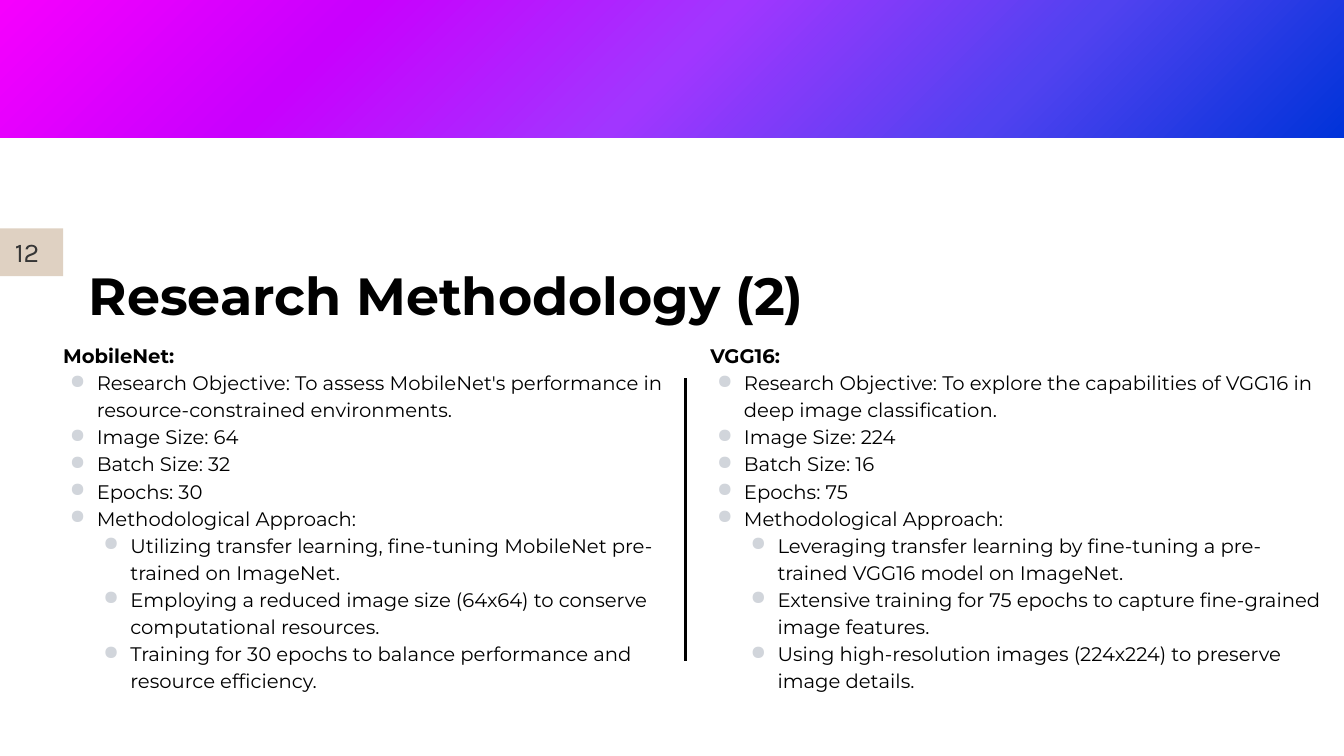
"""Build the research methodology slide comparing MobileNet and VGG16."""
from lxml import etree
from pptx import Presentation
from pptx.dml.color import RGBColor
from pptx.enum import shapes, text
from pptx.oxml import parse_xml
from pptx.oxml.ns import nsdecls, qn
from pptx.util import Pt

HUES = {"ink": "000000", "dot": "D1D5DB", "tag": "DFD1C2", "num": "363636"}
FADE = {0: "F600FE", 25: "C900FE", 50: "A136FF", 75: "5142F0", 100: "0033D9"}
COLS = 20
UNIT = 914400

deck = Presentation()
deck.slide_width, deck.slide_height = COLS * UNIT, int(11.25 * UNIT)
slide = deck.slides.add_slide(deck.slide_layouts[5])


def grid(*cells):
    """Turn grid columns and rows into lengths."""
    return [round(cell * UNIT) for cell in cells]


def style(para, size, hue, face="Montserrat", bold=False, gap=None):
    """Set the font and line spacing of a paragraph."""
    font = para.font
    font.size, font.name, font.bold = Pt(size), face, bold
    font.color.rgb = RGBColor.from_string(HUES[hue])
    para.alignment = text.PP_ALIGN.LEFT
    if gap:
        para.line_spacing = gap


title = slide.shapes.title
title.left, title.top, title.width, title.height = grid(1.32, 3.55, 10.8, 0.94)
frame = title.text_frame
frame.text = "Research Methodology (2)"
frame.word_wrap = True
frame.auto_size = text.MSO_AUTO_SIZE.NONE
frame.vertical_anchor = text.MSO_ANCHOR.TOP
frame.margin_left = frame.margin_right = frame.margin_top = frame.margin_bottom = 0
style(frame.paragraphs[0], 56, "ink", bold=True, gap=1.4)

lists = [
    (0.94, 9.27, 6.06, "MobileNet:", [
        (0, "Research Objective: To assess MobileNet's performance in "
            "resource-constrained environments."),
        (0, "Image Size: 64"),
        (0, "Batch Size: 32"),
        (0, "Epochs: 30"),
        (0, "Methodological Approach:"),
        (1, "Utilizing transfer learning, fine-tuning MobileNet pre-trained on ImageNet."),
        (1, "Employing a reduced image size (64x64) to conserve computational resources."),
        (1, "Training for 30 epochs to balance performance and resource efficiency."),
    ]),
    (10.57, 9.18, 5.23, "VGG16:", [
        (0, "Research Objective: To explore the capabilities of VGG16 in "
            "deep image classification."),
        (0, "Image Size: 224"),
        (0, "Batch Size: 16"),
        (0, "Epochs: 75"),
        (0, "Methodological Approach:"),
        (1, "Leveraging transfer learning by fine-tuning a pre-trained VGG16 model on ImageNet."),
        (1, "Extensive training for 75 epochs to capture fine-grained image features."),
        (1, "Using high-resolution images (224x224) to preserve image details."),
    ]),
]
for left, wide, high, head, items in lists:
    frame = slide.shapes.add_textbox(*grid(left, 5.07, wide, high)).text_frame
    frame.word_wrap = True
    frame.margin_left = frame.margin_right = frame.margin_top = frame.margin_bottom = 0
    frame.text = head
    style(frame.paragraphs[0], 21, "ink", bold=True, gap=1.15)
    for level, line in items:
        para = frame.add_paragraph()
        para.text, para.level = line, level
        style(para, 21, "ink", gap=1.15)
        props = para._p.get_or_add_pPr()
        indent, hang = grid(0.5 + 0.5 * level, -0.4)
        props.set("marL", str(indent))
        props.set("indent", str(hang))
        tint = parse_xml(f'<a:buClr {nsdecls("a")}><a:srgbClr val="{HUES["dot"]}"/></a:buClr>')
        mark = etree.Element(qn("a:buChar"), char="●")
        spot = props.find(qn("a:lnSpc"))
        spot.addnext(tint)
        tint.addnext(mark)

band = slide.shapes.add_shape(shapes.MSO_SHAPE.RECTANGLE, *grid(0, 0, COLS, 2.05))
band.shadow.inherit = False
band.line.fill.background()
stops = "".join(f'<a:gs pos="{pos * 1000}"><a:srgbClr val="{hue}"/></a:gs>'
                for pos, hue in FADE.items())
fade = parse_xml(f'<a:gradFill {nsdecls("a")} rotWithShape="1"><a:gsLst>{stops}</a:gsLst>'
                 '<a:path path="circle"><a:fillToRect r="100000" b="100000"/></a:path>'
                 '</a:gradFill>')
band._element.spPr.find(qn("a:prstGeom")).addnext(fade)

rule = slide.shapes.add_connector(shapes.MSO_CONNECTOR.STRAIGHT, *grid(10.2, 5.63, 10.2, 9.84))
rule.line.width = Pt(3)
rule.line.color.rgb = RGBColor.from_string(HUES["ink"])
etree.SubElement(rule._element.spPr, qn("a:effectLst"))

tag = slide.shapes.add_shape(shapes.MSO_SHAPE.RECTANGLE, *grid(0, 3.4, 0.94, 0.71))
tag.shadow.inherit = False
tag.fill.solid()
tag.fill.fore_color.rgb = RGBColor.from_string(HUES["tag"])
tag.line.fill.background()
frame = tag.text_frame
frame.text = "12"
frame.vertical_anchor = text.MSO_ANCHOR.TOP
frame.margin_left, frame.margin_top, frame.margin_right, frame.margin_bottom = grid(0.22, 0.1, 0.1, 0.2)
style(frame.paragraphs[0], 29, "num", face="Karla")

deck.save("out.pptx")
